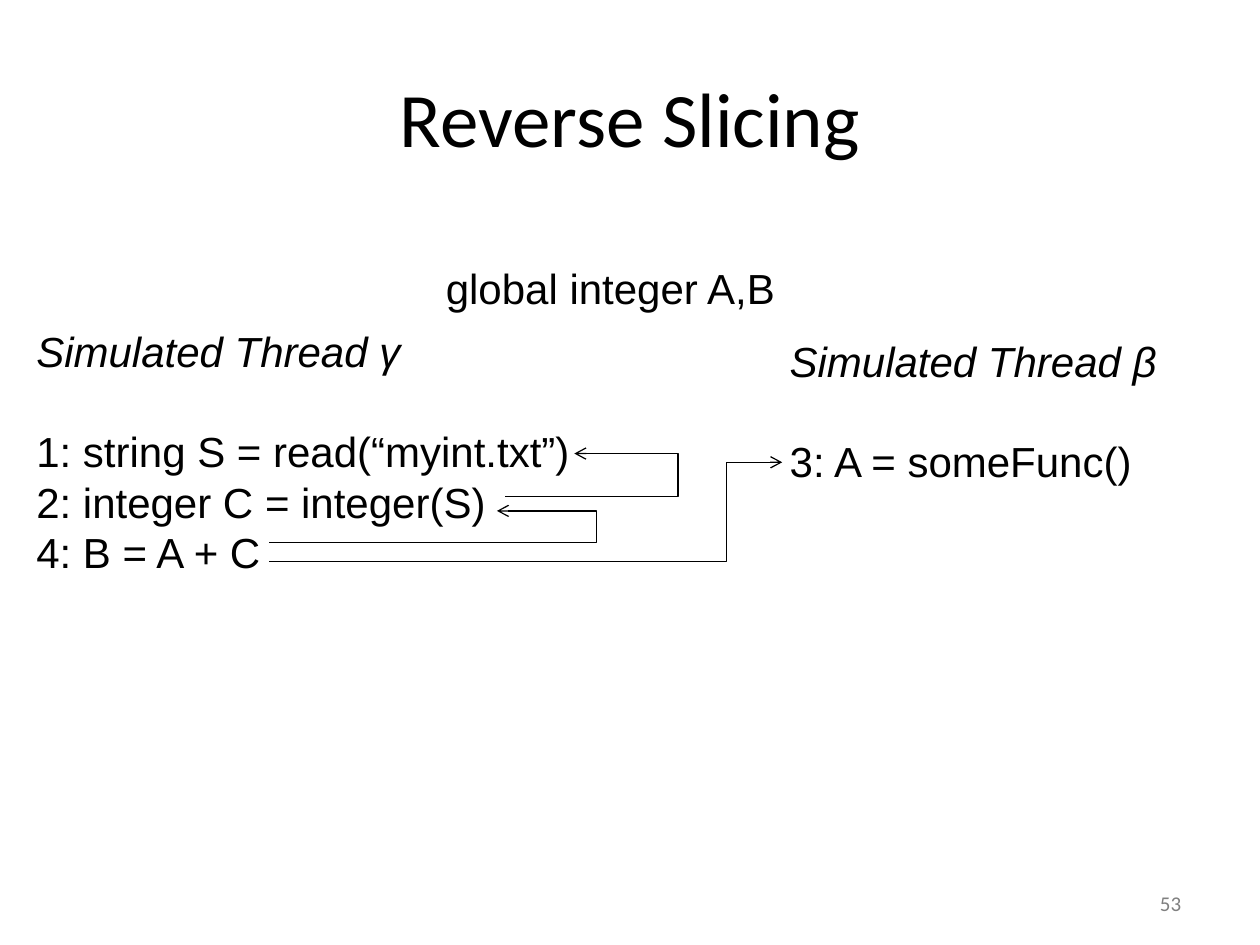
from dataclasses import dataclass

from lxml import etree
from pptx import Presentation
from pptx.dml.color import RGBColor
from pptx.enum import shapes, text
from pptx.oxml.ns import qn
from pptx.util import Pt


@dataclass(frozen=True)
class Theme:
    ink = RGBColor(0, 0, 0)
    grey = RGBColor(0x80, 0x80, 0x80)
    head = "Calibri"
    body = "Arial"
    title = 44
    code = 24
    foot = 12
    lead = 28.8
    rule = 0.75


THEME = Theme()


def style(para, font, size, color, italic=False):
    for run in para.runs:
        run.font.name = font
        run.font.size = Pt(size)
        run.font.color.rgb = color
        run.font.italic = italic


def place(shape, box):
    shape.left, shape.top, shape.width, shape.height = map(Pt, box)


def add_title(slide, box, words):
    title = slide.shapes.title
    place(title, box)
    frame = title.text_frame
    frame.text = words
    frame.vertical_anchor = text.MSO_ANCHOR.MIDDLE
    para = frame.paragraphs[0]
    para.alignment = text.PP_ALIGN.CENTER
    style(para, THEME.head, THEME.title, THEME.ink)


def add_code(slide, box, lines, head=None):
    """Code lines, under an italic heading set off by one line's gap."""
    frame = slide.shapes.add_textbox(*map(Pt, box)).text_frame
    frame.word_wrap = False
    frame.text = "\n".join([head] + lines if head else lines)
    for i, para in enumerate(frame.paragraphs):
        para.line_spacing = Pt(THEME.lead)
        if head and i == 1:
            para.space_before = Pt(THEME.lead)
        style(para, THEME.body, THEME.code, THEME.ink, bool(head) and i == 0)


def add_arrow(slide, start, end, bend):
    """Elbow arrow whose upright part stands at x = bend."""
    line = slide.shapes.add_connector(
        shapes.MSO_CONNECTOR.ELBOW, *map(Pt, start + end))
    line.line.color.rgb = THEME.ink
    line.line.width = Pt(THEME.rule)
    props = line._element.spPr
    ratio = (bend - start[0]) / (end[0] - start[0])
    guides = props.find(qn("a:prstGeom")).get_or_add_avLst()
    etree.SubElement(guides, qn("a:gd"), name="adj1",
                     fmla=f"val {round(ratio * 100000)}")
    etree.SubElement(props.find(qn("a:ln")), qn("a:tailEnd"), type="arrow")
    etree.SubElement(props, qn("a:effectLst"))


def add_number(slide, box, words):
    frame = slide.shapes.add_textbox(*map(Pt, box)).text_frame
    frame.word_wrap = True
    frame.vertical_anchor = text.MSO_ANCHOR.MIDDLE
    frame.text = words
    para = frame.paragraphs[0]
    para.alignment = text.PP_ALIGN.RIGHT
    style(para, THEME.head, THEME.foot, THEME.grey)


def main():
    deck = Presentation()
    deck.slide_width, deck.slide_height = Pt(720), Pt(540)
    slide = deck.slides.add_slide(deck.slide_layouts[5])

    add_title(slide, (36, 21.6, 648, 90), "Reverse Slicing")
    add_code(slide, (247.7, 146.2, 204.5, 36), ["global integer A,B"])
    add_code(slide, (13.7, 182.2, 329, 181.4),
             ["1: string S = read(“myint.txt”)",
              "2: integer C = integer(S)",
              "4: B = A + C"], "Simulated Thread γ")
    add_code(slide, (444.2, 187.9, 232.6, 123.8),
             ["3: A = someFunc()"], "Simulated Thread β")

    for start, end, bend in (
            ((288.7, 283.9), (328.2, 259.2), 387.4),
            ((154, 310.2), (284, 292), 341),
            ((154, 321), (447, 264.2), 415.4)):
        add_arrow(slide, start, end, bend)

    add_number(slide, (514, 501.8, 168, 28.8), "53")
    deck.save("out.pptx")


if __name__ == "__main__":
    main()
